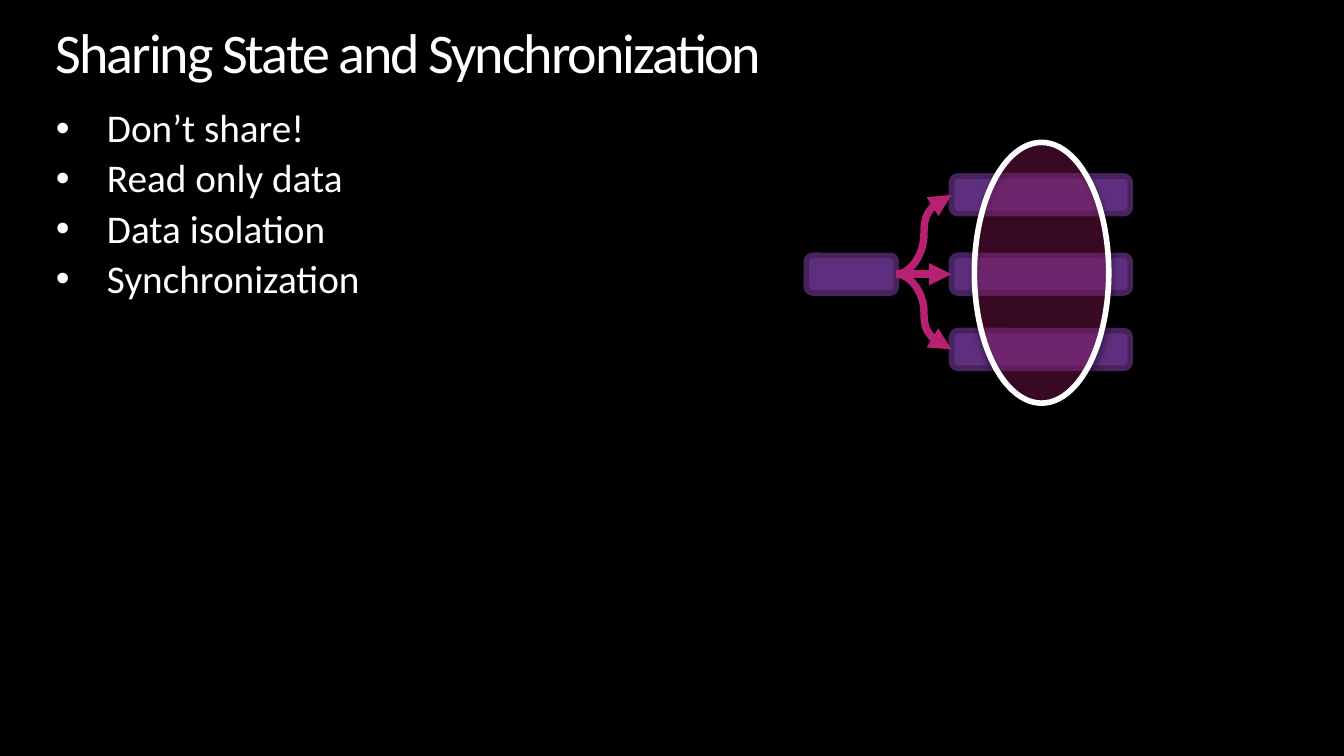
from lxml import etree
from pptx import Presentation
from pptx.dml.color import RGBColor
from pptx.enum.shapes import MSO_CONNECTOR, MSO_SHAPE
from pptx.enum.text import MSO_ANCHOR, PP_ALIGN
from pptx.oxml.ns import qn
from pptx.util import Inches, Pt

TITLE = "Sharing State and Synchronization"
BULLETS = ["Don’t share!", "Read only data", "Data isolation", "Synchronization"]

WHITE, BLACK = "FFFFFF", "000000"
PURPLE, DARK_PURPLE, MAGENTA = "5E2F7E", "46235D", "B72172"

SLIDE_WIDTH = 10
SLIDE_HEIGHT = SLIDE_WIDTH * 9 / 16
TEXT_LEFT, TEXT_WIDTH = 5 / 12, 9.17
SOURCE_LEFT, SOURCE_TOP, SOURCE_WIDTH = 6, 1.9, 0.67
TASK_LEFT, TASK_WIDTH, TASK_HEIGHT = 7.08, 1.33, 0.28
TASK_TOPS = [1.31, SOURCE_TOP, 2.46]
SHARED_STATE = (7.25, 1.06, 1, 1.94)


def paint(color_format, hex_color):
    color_format.rgb = RGBColor.from_string(hex_color)


def add_child(parent, tag, **attributes):
    child = etree.SubElement(parent, qn(tag))
    for name, value in attributes.items():
        child.set(name, str(value))
    return child


def format_frame(frame, size):
    frame.word_wrap = True
    frame.vertical_anchor = MSO_ANCHOR.TOP
    frame.margin_left = frame.margin_right = 0
    frame.margin_top = frame.margin_bottom = 0
    for paragraph in frame.paragraphs:
        paragraph.alignment = PP_ALIGN.LEFT
        paragraph.line_spacing = 0.9
        for run in paragraph.runs:
            run.font.name = "Calibri"
            run.font.size = Pt(size)
            paint(run.font.color, WHITE)


def add_figure(slide, preset, box, fill, line):
    figure = slide.shapes.add_shape(preset, *map(Inches, box))
    figure.shadow.inherit = False
    figure.fill.solid()
    paint(figure.fill.fore_color, fill)
    paint(figure.line.color, line)
    figure.line.width = Pt(3)
    return figure


def add_task(slide, left, top, width):
    box = (left, top, width, TASK_HEIGHT)
    return add_figure(slide, MSO_SHAPE.ROUNDED_RECTANGLE, box, PURPLE, DARK_PURPLE)


def add_fork(slide, source, task):
    """Draw a curved arrow from the source's right side to the task's left side."""
    arrow = slide.shapes.add_connector(MSO_CONNECTOR.CURVE, 0, 0, 0, 0)
    arrow.begin_connect(source, 3)
    arrow.end_connect(task, 1)
    paint(arrow.line.color, MAGENTA)
    arrow.line.width = Pt(4)
    add_child(arrow.line._get_or_add_ln(), "a:tailEnd", type="triangle")
    add_child(arrow._element.spPr, "a:effectLst")


def add_text(slide):
    title = slide.shapes.title
    title.left, title.top = Inches(TEXT_LEFT), Inches(0.19)
    title.width, title.height = Inches(TEXT_WIDTH), Inches(0.45)
    title.text_frame.text = TITLE
    format_frame(title.text_frame, 30)
    title.text_frame.paragraphs[0].runs[0].font._element.set("spc", "-110")

    bullets = slide.shapes.add_textbox(
        Inches(TEXT_LEFT), Inches(0.81), Inches(TEXT_WIDTH), Inches(1.61)
    ).text_frame
    bullets.text = "\n".join(BULLETS)
    for index, paragraph in enumerate(bullets.paragraphs):
        properties = paragraph._p.get_or_add_pPr()
        properties.set("marL", str(Inches(0.38)))
        properties.set("indent", str(-Inches(0.38)))
        add_child(properties, "a:buFont", typeface="Arial")
        add_child(properties, "a:buChar", char="•")
        if index:
            paragraph.space_before = Pt(4.2)
    format_frame(bullets, 21)


def add_diagram(slide):
    source = add_task(slide, SOURCE_LEFT, SOURCE_TOP, SOURCE_WIDTH)
    for top in TASK_TOPS:
        add_fork(slide, source, add_task(slide, TASK_LEFT, top, TASK_WIDTH))

    shared = add_figure(slide, MSO_SHAPE.OVAL, SHARED_STATE, MAGENTA, WHITE)
    properties = shared._element.spPr
    fill_color = properties.find(qn("a:solidFill"))[0]
    add_child(fill_color, "a:alpha", val=30000)
    shadow = add_child(properties.find(qn("a:effectLst")), "a:outerShdw",
                       blurRad=Pt(4), dist=Pt(3), dir=90 * 60000, rotWithShape=0)
    shadow_color = add_child(shadow, "a:srgbClr", val=BLACK)
    add_child(shadow_color, "a:alpha", val=43000)


def main():
    deck = Presentation()
    deck.slide_width, deck.slide_height = Inches(SLIDE_WIDTH), Inches(SLIDE_HEIGHT)
    slide = deck.slides.add_slide(deck.slide_layouts[5])
    slide.background.fill.solid()
    paint(slide.background.fill.fore_color, BLACK)
    add_text(slide)
    add_diagram(slide)
    deck.save("out.pptx")


if __name__ == "__main__":
    main()
